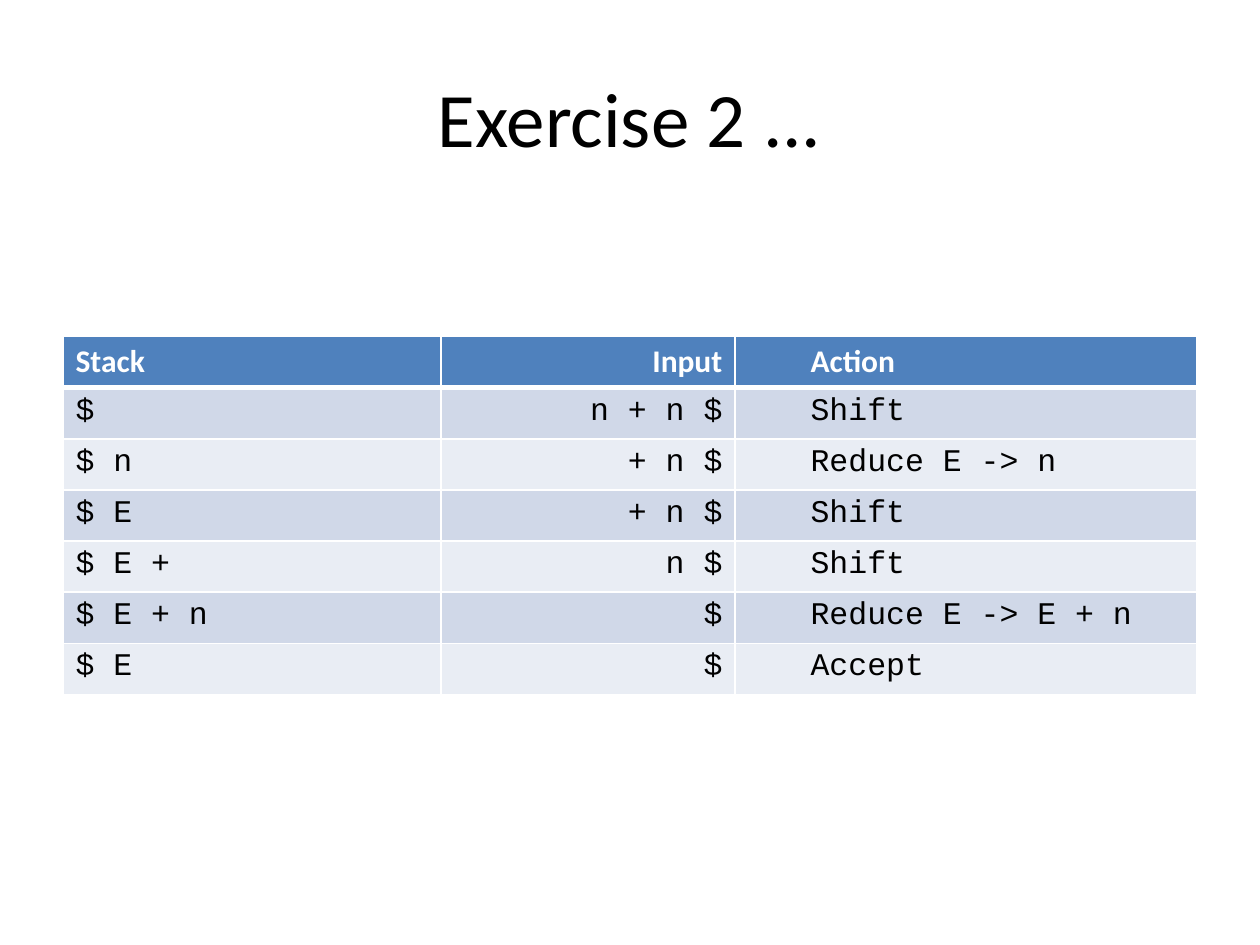
from dataclasses import dataclass

from lxml import etree
from pptx import Presentation
from pptx.dml.color import RGBColor
from pptx.enum import text
from pptx.oxml import ns
from pptx.util import Pt

BLACK = RGBColor(0x00, 0x00, 0x00)
WHITE = RGBColor(0xFF, 0xFF, 0xFF)
HEADER_BLUE = RGBColor(0x4F, 0x81, 0xBD)
BANDS = (RGBColor(0xD0, 0xD8, 0xE8), RGBColor(0xE9, 0xED, 0xF4))

LEFT, WIDTH = Pt(36), Pt(648)
TABLE_TOP, ROW_HEIGHT = Pt(192.4), Pt(29.2)


@dataclass(frozen=True)
class Column:
    heading: str
    width: float
    align: text.PP_ALIGN = text.PP_ALIGN.LEFT
    level: int = 0
    indent: float = 0


@dataclass(frozen=True)
class ParseStep:
    stack: str
    remaining: str
    action: str


COLUMNS = (
    Column("Stack", 216),
    Column("Input", 168, align=text.PP_ALIGN.RIGHT),
    Column("Action", 264, level=1, indent=36),
)
STEPS = (
    ParseStep("$", "n + n $", "Shift"),
    ParseStep("$ n", "+ n $", "Reduce E -> n"),
    ParseStep("$ E", "+ n $", "Shift"),
    ParseStep("$ E +", "n $", "Shift"),
    ParseStep("$ E + n", "$", "Reduce E -> E + n"),
    ParseStep("$ E", "$", "Accept"),
)


def write(paragraph, content: str, *, font: str, size: float, color: RGBColor,
          bold: bool = False, align: text.PP_ALIGN = text.PP_ALIGN.LEFT) -> None:
    paragraph.alignment = align
    run = paragraph.add_run()
    run.text = content
    run.font.name = font
    run.font.size = Pt(size)
    run.font.bold = bold
    run.font.color.rgb = color


def add_borders(cell, top: float, bottom: float) -> None:
    """Draw white cell borders; must run before the fill is set."""
    properties = cell._tc.get_or_add_tcPr()
    for side, width in (("L", 1), ("R", 1), ("T", top), ("B", bottom)):
        line = etree.SubElement(properties, ns.qn(f"a:ln{side}"), w=str(Pt(width)))
        fill = etree.SubElement(line, ns.qn("a:solidFill"))
        etree.SubElement(fill, ns.qn("a:srgbClr"), val=str(WHITE))


def fill_cell(cell, content: str, column: Column, row: int) -> None:
    header = row == 0
    add_borders(cell, top=3 if row == 1 else 1, bottom=3 if header else 1)
    cell.fill.solid()
    cell.fill.fore_color.rgb = HEADER_BLUE if header else BANDS[(row - 1) % 2]
    paragraph = cell.text_frame.paragraphs[0]
    write(paragraph, content, size=18, bold=header, align=column.align,
          font="Calibri" if header else "Courier New",
          color=WHITE if header else BLACK)
    if column.level:
        paragraph.level = column.level
        paragraph._p.get_or_add_pPr().set("marL", str(Pt(column.indent)))


def add_parse_table(slide) -> None:
    rows = [tuple(column.heading for column in COLUMNS)]
    rows += [(step.stack, step.remaining, step.action) for step in STEPS]
    table = slide.shapes.add_table(len(rows), len(COLUMNS), LEFT, TABLE_TOP,
                                   WIDTH, ROW_HEIGHT * len(rows)).table
    for table_column, column in zip(table.columns, COLUMNS):
        table_column.width = Pt(column.width)
    for row, contents in enumerate(rows):
        table.rows[row].height = ROW_HEIGHT
        for index, (content, column) in enumerate(zip(contents, COLUMNS)):
            fill_cell(table.cell(row, index), content, column, row)


def add_title(slide, content: str) -> None:
    title = slide.shapes.title
    title.left, title.top, title.width, title.height = LEFT, Pt(21.6), WIDTH, Pt(90)
    title.text_frame.vertical_anchor = text.MSO_ANCHOR.MIDDLE
    write(title.text_frame.paragraphs[0], content, font="Calibri", size=44,
          color=BLACK, align=text.PP_ALIGN.CENTER)


def main() -> None:
    presentation = Presentation()
    presentation.slide_width, presentation.slide_height = Pt(720), Pt(540)
    slide = presentation.slides.add_slide(presentation.slide_layouts[5])
    add_title(slide, "Exercise 2 ...")
    add_parse_table(slide)
    presentation.save("out.pptx")


if __name__ == "__main__":
    main()
